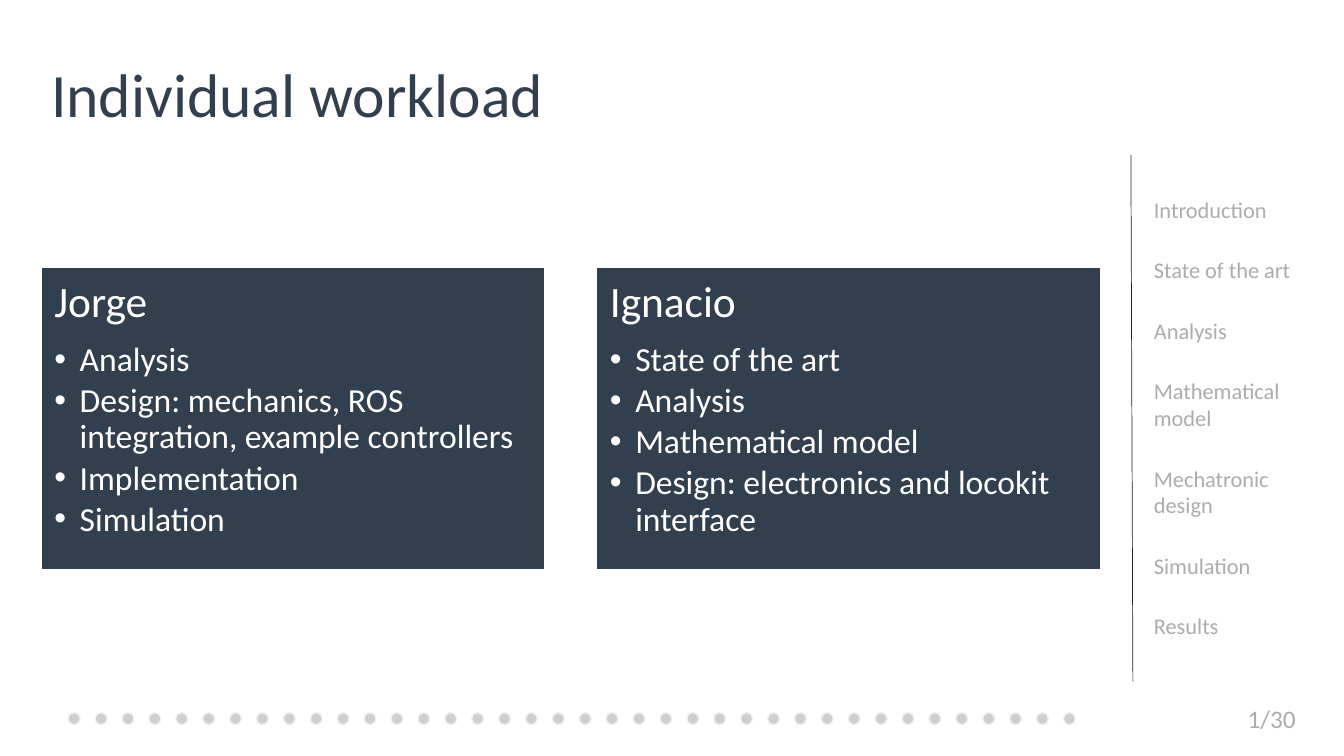
from pptx import Presentation
from pptx.dml.color import RGBColor
from pptx.enum.shapes import MSO_CONNECTOR, MSO_SHAPE
from pptx.enum.text import MSO_ANCHOR, PP_ALIGN
from pptx.oxml.ns import qn
from pptx.util import Cm, Pt
from lxml.etree import SubElement

FONT = "Calibri"
COLORS = {
    "navy": "323F4F",
    "white": "FFFFFF",
    "text": "AFABAB",
    "dot": "D0CECE",
    "rim": "F2F2F2",
    "rule": "1C232C",
}
CARDS = [
    (1.04, "Jorge", [
        "Analysis",
        "Design: mechanics, ROS integration, example controllers",
        "Implementation",
        "Simulation",
    ]),
    (15.04, "Ignacio", [
        "State of the art",
        "Analysis",
        "Mathematical model",
        "Design: electronics and locokit interface",
    ]),
]
TOPICS = [
    "Introduction",
    "State of the art",
    "Analysis",
    "Mathematical model",
    "Mechatronic design",
    "Simulation",
    "Results",
]
DOTS = 38
FIRST, LAST = 1.72, 26.8


def color(name):
    return RGBColor.from_string(COLORS[name])


def add_text(frame, text, size, tint, first=False):
    para = frame.paragraphs[0] if first else frame.add_paragraph()
    para.alignment = PP_ALIGN.LEFT
    run = para.add_run()
    run.text = text
    run.font.name = FONT
    run.font.size = Pt(size)
    run.font.color.rgb = color(tint)
    return para


def add_box(slide, left, top, width, height, wrap=True):
    box = slide.shapes.add_textbox(Cm(left), Cm(top), Cm(width), Cm(height))
    frame = box.text_frame
    frame.word_wrap = wrap
    return frame


def add_shape(slide, kind, left, top, width, height, fill, line):
    shape = slide.shapes.add_shape(kind, Cm(left), Cm(top), Cm(width), Cm(height))
    shape.shadow.inherit = False
    shape.fill.solid()
    shape.fill.fore_color.rgb = color(fill)
    shape.line.color.rgb = color(line)
    shape.line.width = Pt(1)
    return shape


def add_bullet(para):
    props = para._p.get_or_add_pPr()
    props.set("marL", str(Cm(0.64)))
    props.set("indent", str(-Cm(0.64)))
    SubElement(props, qn("a:buFont"), typeface="Arial")
    SubElement(props, qn("a:buChar"), char="•")


def add_card(slide, left, name, tasks):
    card = add_shape(slide, MSO_SHAPE.RECTANGLE, left, 6.73, 12.7, 7.62, "navy", "white")
    frame = card.text_frame
    frame.word_wrap = True
    frame.vertical_anchor = MSO_ANCHOR.TOP
    frame.margin_left = frame.margin_right = Cm(0.33)
    frame.margin_top = frame.margin_bottom = Cm(0.33)
    head = add_text(frame, name, 31, "white", True)
    head.line_spacing = 0.9
    head.space_after = Pt(11)
    for task in tasks:
        para = add_text(frame, task, 24, "white")
        para.level = 1
        add_bullet(para)
        para.line_spacing = 0.9
        para.space_after = Pt(3.5)


def add_title(slide, text):
    frame = add_box(slide, 1.04, 1.02, 31.62, 2.9)
    frame.vertical_anchor = MSO_ANCHOR.MIDDLE
    add_text(frame, text, 44, "navy", True).line_spacing = 0.9


def add_topics(slide):
    frame = add_box(slide, 28.83, 3.91, 4.09, 13.23)
    frame.vertical_anchor = MSO_ANCHOR.MIDDLE
    for index, topic in enumerate(TOPICS):
        para = add_text(frame, topic, 16, "text", index == 0)
        if index:
            para.space_before = Pt(24)


def add_rule(slide):
    rule = slide.shapes.add_connector(
        MSO_CONNECTOR.STRAIGHT, Cm(28.5), Cm(3.91), Cm(28.55), Cm(17.17))
    rule.line.color.rgb = color("rule")
    rule.line.width = Pt(0.5)
    SubElement(rule._element.spPr, qn("a:effectLst"))


def add_dots(slide):
    step = (LAST - FIRST) / (DOTS - 1)
    for index in range(DOTS):
        add_shape(slide, MSO_SHAPE.OVAL, FIRST + index * step, 17.96, 0.3, 0.3, "dot", "rim")


def main():
    deck = Presentation()
    deck.slide_width = Cm(33.87)
    deck.slide_height = Cm(19.05)
    slide = deck.slides.add_slide(deck.slide_layouts[6])
    add_title(slide, "Individual workload")
    for left, name, tasks in CARDS:
        add_card(slide, left, name, tasks)
    add_topics(slide)
    add_rule(slide)
    add_dots(slide)
    add_text(add_box(slide, 31.19, 17.6, 1.73, 1.02, False), "1/30", 18, "text", True)
    deck.save("out.pptx")


if __name__ == "__main__":
    main()
